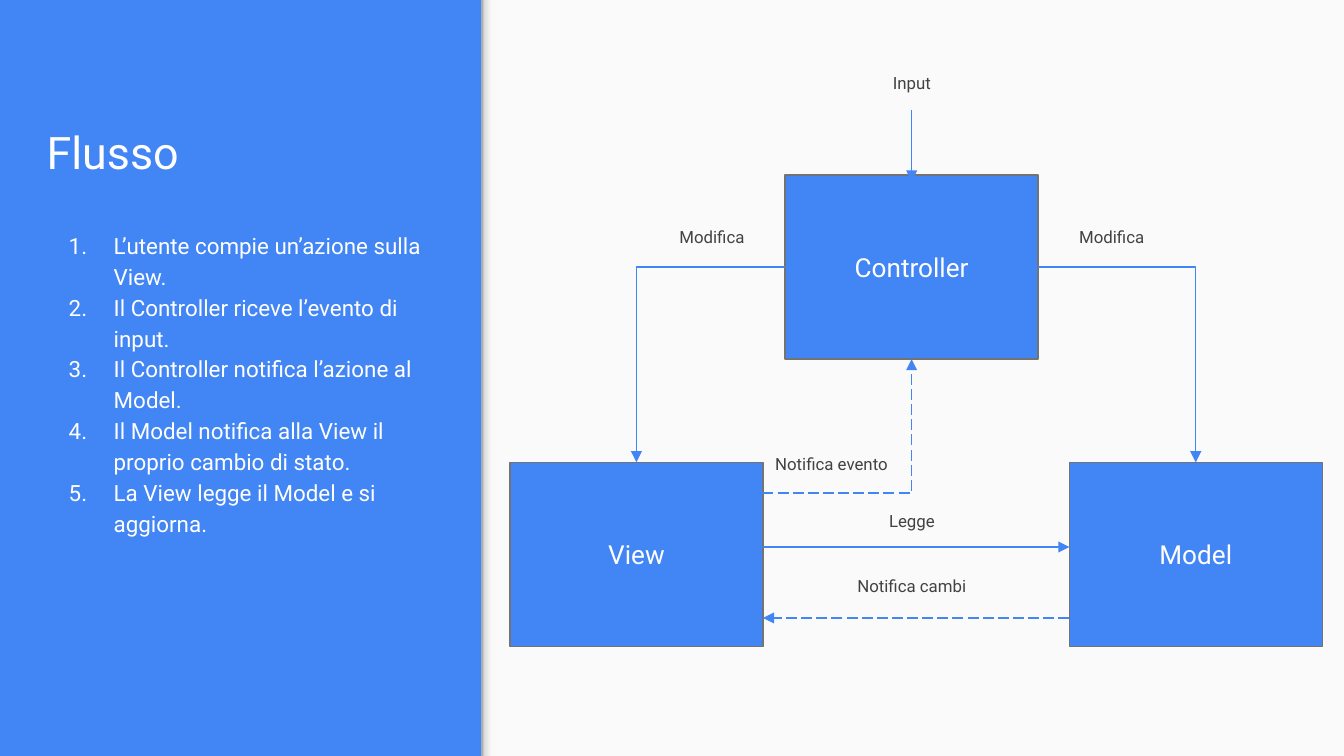
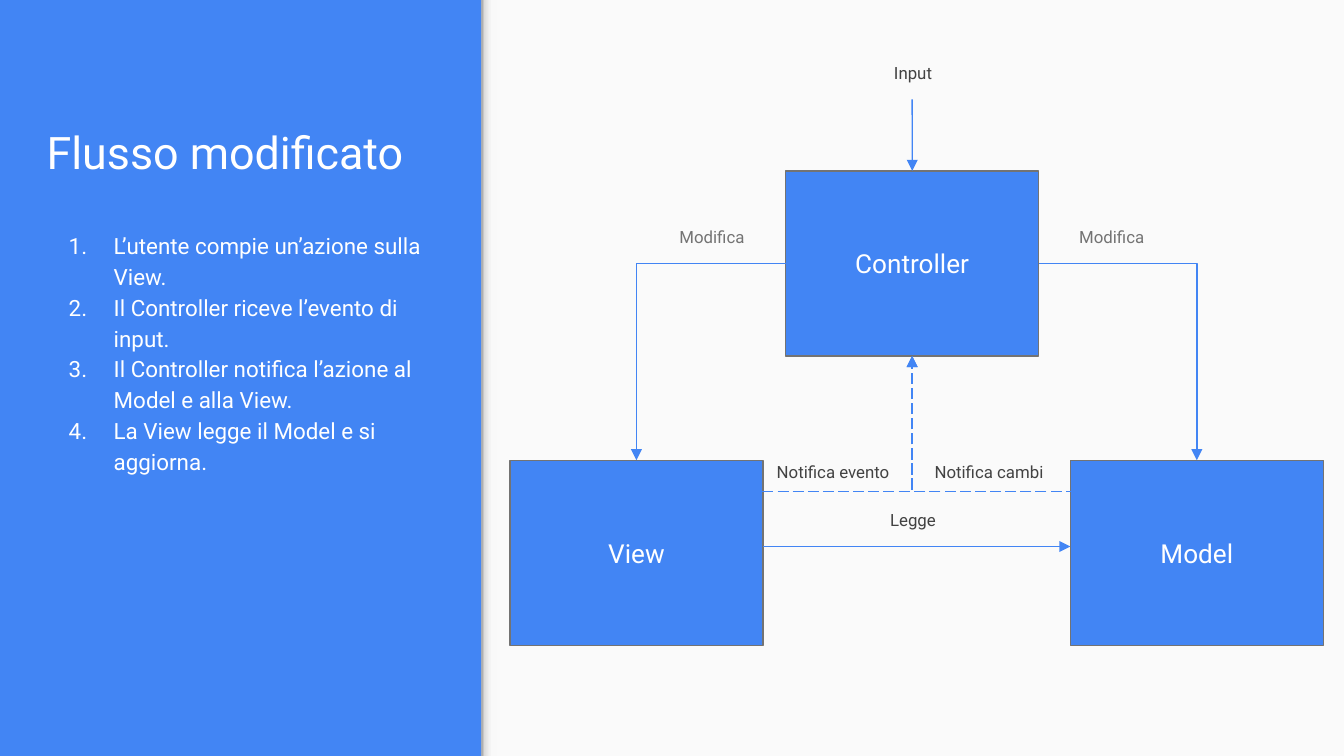
from dataclasses import dataclass

from pptx import Presentation
from pptx.dml.color import RGBColor
from pptx.enum.dml import MSO_LINE_DASH_STYLE as Dash
from pptx.enum.shapes import MSO_CONNECTOR as Link, MSO_SHAPE as Preset
from pptx.enum.text import MSO_ANCHOR as VAlign, MSO_AUTO_SIZE as AutoSize, PP_ALIGN as Align
from pptx.oxml.xmlchemy import OxmlElement
from pptx.util import Cm, Pt

FONT = "Roboto"
BLUE, PAPER, WHITE = "4285F4", "FAFAFA", "FFFFFF"
BORDER, DARK, GREY = "737373", "424242", "737373"
SHADOW_STOPS = ((0, "999999"), (20, "DEDEDE"), (64, "F9F9F9"), (100, "F9F9F9"))
SLIDE_W, SLIDE_H = 25.4, 14.29
PANEL_X, SHADOW_W = 9.1, 0.3
BOX_W = 4.78
TOP, LEFT, BOTTOM, RIGHT = range(4)


@dataclass(frozen=True)
class Box:
    text: str
    x: float
    y: float
    height: float


@dataclass(frozen=True)
class Label:
    text: str
    x: float
    y: float
    width: float = 2.11
    height: float = 0.89
    color: str = DARK
    align: Align = Align.CENTER


@dataclass(frozen=True)
class Point:
    x: float
    y: float


@dataclass(frozen=True)
class Side:
    """The middle of one side of a box."""
    box: str
    index: int


@dataclass(frozen=True)
class Arrow:
    start: Point | Side
    end: Point | Side
    bent: bool = False
    dashed: bool = False


@dataclass(frozen=True)
class Flow:
    title: str
    steps: tuple[str, ...]
    boxes: tuple[Box, ...]
    labels: tuple[Label, ...]
    arrows: tuple[Arrow, ...]


def rgb(value: str) -> RGBColor:
    return RGBColor.from_string(value)


def add_run(paragraph, text: str, size: float, color: str) -> None:
    run = paragraph.add_run()
    run.text = text
    run.font.name, run.font.size = FONT, Pt(size)
    run.font.color.rgb = rgb(color)


def set_frame(frame, anchor: VAlign, auto_size: AutoSize = AutoSize.NONE) -> None:
    frame.word_wrap, frame.auto_size = True, auto_size
    frame.vertical_anchor = anchor
    frame.margin_left = frame.margin_right = Cm(0.25)
    frame.margin_top = frame.margin_bottom = Cm(0.25)


def add_rectangle(slide, x: float, y: float, width: float, height: float, fill: str):
    rectangle = slide.shapes.add_shape(Preset.RECTANGLE, Cm(x), Cm(y), Cm(width), Cm(height))
    rectangle.shadow.inherit = False
    rectangle.fill.solid()
    rectangle.fill.fore_color.rgb = rgb(fill)
    rectangle.line.fill.background()
    return rectangle


def set_gradient(shape, stops) -> None:
    shape.fill.gradient()
    shape.fill.gradient_angle = 0
    stop_list = shape.element.xpath(".//a:gsLst")[0]
    for stop in list(stop_list):
        stop_list.remove(stop)
    for percent, color in stops:
        stop = OxmlElement("a:gs")
        stop.set("pos", str(percent * 1000))
        tint = OxmlElement("a:srgbClr")
        tint.set("val", color)
        stop.append(tint)
        stop_list.append(stop)


def dress_layout(layout, slide) -> None:
    """Give the layout the blue ground, the pale panel and the panel's edge shadow."""
    layout.background.fill.solid()
    layout.background.fill.fore_color.rgb = rgb(BLUE)
    panel = add_rectangle(slide, PANEL_X, 0, SLIDE_W - PANEL_X, SLIDE_H, PAPER)
    edge = add_rectangle(slide, PANEL_X, 0, SHADOW_W, SLIDE_H, PAPER)
    set_gradient(edge, SHADOW_STOPS)
    for position, part in enumerate((panel, edge), start=2):
        layout.shapes.element.insert(position, part.element)


def fill_title(slide, text: str) -> None:
    title = slide.shapes.title
    title.left, title.top, title.width, title.height = Cm(0.63), Cm(0.99), Cm(7.8), Cm(2.64)
    set_frame(title.text_frame, VAlign.BOTTOM)
    paragraph = title.text_frame.paragraphs[0]
    paragraph.alignment = Align.LEFT
    add_run(paragraph, text, 24, WHITE)


def number(paragraph) -> None:
    properties = paragraph._p.get_or_add_pPr()
    properties.set("marL", str(Cm(1.27)))
    properties.set("indent", str(-Cm(0.85)))
    bullet_color, tint = OxmlElement("a:buClr"), OxmlElement("a:srgbClr")
    tint.set("val", WHITE)
    bullet_color.append(tint)
    numbering = OxmlElement("a:buAutoNum")
    numbering.set("type", "arabicPeriod")
    properties.extend((bullet_color, numbering))


def add_steps(slide, steps: tuple[str, ...]) -> None:
    frame = slide.shapes.add_textbox(Cm(0.63), Cm(4.06), Cm(8.18), Cm(8.79)).text_frame
    set_frame(frame, VAlign.TOP)
    for index, step in enumerate(steps):
        paragraph = frame.add_paragraph() if index else frame.paragraphs[0]
        paragraph.line_spacing = 1.15
        number(paragraph)
        add_run(paragraph, step, 12, WHITE)


def add_box(slide, box: Box):
    rectangle = add_rectangle(slide, box.x, box.y, BOX_W, box.height, BLUE)
    rectangle.line.color.rgb = rgb(BORDER)
    rectangle.line.width = Pt(0.75)
    set_frame(rectangle.text_frame, VAlign.MIDDLE)
    paragraph = rectangle.text_frame.paragraphs[0]
    paragraph.alignment = Align.CENTER
    add_run(paragraph, box.text, 14, WHITE)
    return rectangle


def add_label(slide, label: Label) -> None:
    frame = slide.shapes.add_textbox(
        Cm(label.x), Cm(label.y), Cm(label.width), Cm(label.height)).text_frame
    set_frame(frame, VAlign.TOP, AutoSize.SHAPE_TO_FIT_TEXT)
    frame.paragraphs[0].alignment = label.align
    add_run(frame.paragraphs[0], label.text, 9, label.color)


def locate(end: Point | Side, boxes: dict) -> tuple[int, int]:
    if isinstance(end, Point):
        return Cm(end.x), Cm(end.y)
    box = boxes[end.box]
    across, down = {TOP: (1, 0), LEFT: (0, 1), BOTTOM: (1, 2), RIGHT: (2, 1)}[end.index]
    return box.left + box.width * across // 2, box.top + box.height * down // 2


def add_arrow(slide, arrow: Arrow, boxes: dict) -> None:
    """Draw an arrow; a bent one runs across first, then up or down."""
    kind = Link.ELBOW if arrow.bent else Link.STRAIGHT
    connector = slide.shapes.add_connector(
        kind, *locate(arrow.start, boxes), *locate(arrow.end, boxes))
    for end, connect in ((arrow.start, connector.begin_connect),
                         (arrow.end, connector.end_connect)):
        if isinstance(end, Side):
            connect(boxes[end.box], end.index)
    connector.line.color.rgb = rgb(BLUE)
    connector.line.width = Pt(0.75)
    if arrow.dashed:
        connector.line.dash_style = Dash.LONG_DASH
    properties = connector.element.spPr
    if arrow.bent:
        properties.xpath("./a:prstGeom")[0].set("prst", "bentConnector2")
    head = OxmlElement("a:tailEnd")
    head.set("type", "triangle")
    properties.xpath("./a:ln")[0].append(head)
    properties.append(OxmlElement("a:effectLst"))


def draw_flow(slide, flow: Flow) -> None:
    fill_title(slide, flow.title)
    add_steps(slide, flow.steps)
    boxes = {box.text: add_box(slide, box) for box in flow.boxes}
    for arrow in flow.arrows:
        add_arrow(slide, arrow, boxes)
    for label in flow.labels:
        add_label(slide, label)


def edit_labels(color: str) -> tuple[Label, ...]:
    return (Label("Modifica", 12.4, 4.09, color=color),
            Label("Modifica", 19.74, 4.09, 2.54, color=color))


EDIT_ARROWS = (
    Arrow(Side("Controller", LEFT), Side("View", TOP), bent=True),
    Arrow(Side("Controller", RIGHT), Side("Model", TOP), bent=True),
)
FIRST_STEPS = ("L’utente compie un’azione sulla View.",
               "Il Controller riceve l’evento di input.")
LAST_STEP = "La View legge il Model e si aggiorna."

FLOWS = (
    Flow(
        "Flusso",
        (*FIRST_STEPS, "Il Controller notifica l’azione al Model.",
         "Il Model notifica alla View il proprio cambio di stato.", LAST_STEP),
        (Box("Controller", 14.84, 3.31, 3.48), Box("View", 9.64, 8.74, 3.48),
         Box("Model", 20.21, 8.74, 3.48)),
        (*edit_labels(DARK), Label("Legge", 16.18, 9.47),
         Label("Notifica cambi", 14.84, 10.69, BOX_W, 1.27),
         Label("Notifica evento", 14.4, 8.38, 3.33, align=Align.LEFT),
         Label("Input", 16.18, 1.19)),
        (*EDIT_ARROWS,
         Arrow(Point(14.42, 10.34), Point(20.21, 10.34)),
         Arrow(Point(20.21, 11.68), Point(14.42, 11.68), dashed=True),
         Arrow(Point(14.41, 9.32), Side("Controller", BOTTOM), bent=True, dashed=True),
         Arrow(Point(17.23, 2.08), Point(17.23, 3.43))),
    ),
    Flow(
        "Flusso modificato",
        (*FIRST_STEPS, "Il Controller notifica l’azione al Model e alla View.", LAST_STEP),
        (Box("Controller", 14.85, 3.23, 3.5), Box("View", 9.64, 8.7, 3.5),
         Box("Model", 20.23, 8.7, 3.5)),
        (*edit_labels(GREY), Label("Legge", 16.2, 9.45),
         Label("Notifica cambi", 17.27, 8.53, 2.84, 1.27),
         Label("Notifica evento", 14.43, 8.53, 2.72, align=Align.LEFT),
         Label("Input", 16.2, 0.99)),
        (*EDIT_ARROWS,
         Arrow(Point(14.42, 10.33), Point(20.23, 10.33)),
         Arrow(Point(14.41, 9.29), Side("Controller", BOTTOM), bent=True, dashed=True),
         Arrow(Point(20.35, 9.29), Side("Controller", BOTTOM), bent=True, dashed=True),
         Arrow(Point(17.24, 1.88), Side("Controller", TOP))),
    ),
)


def main() -> None:
    deck = Presentation()
    deck.slide_width, deck.slide_height = Cm(SLIDE_W), Cm(SLIDE_H)
    title_only = deck.slide_layouts[5]
    slides = [deck.slides.add_slide(title_only) for _ in FLOWS]
    dress_layout(title_only, slides[0])
    for slide, flow in zip(slides, FLOWS):
        draw_flow(slide, flow)
    deck.save("out.pptx")


if __name__ == "__main__":
    main()
